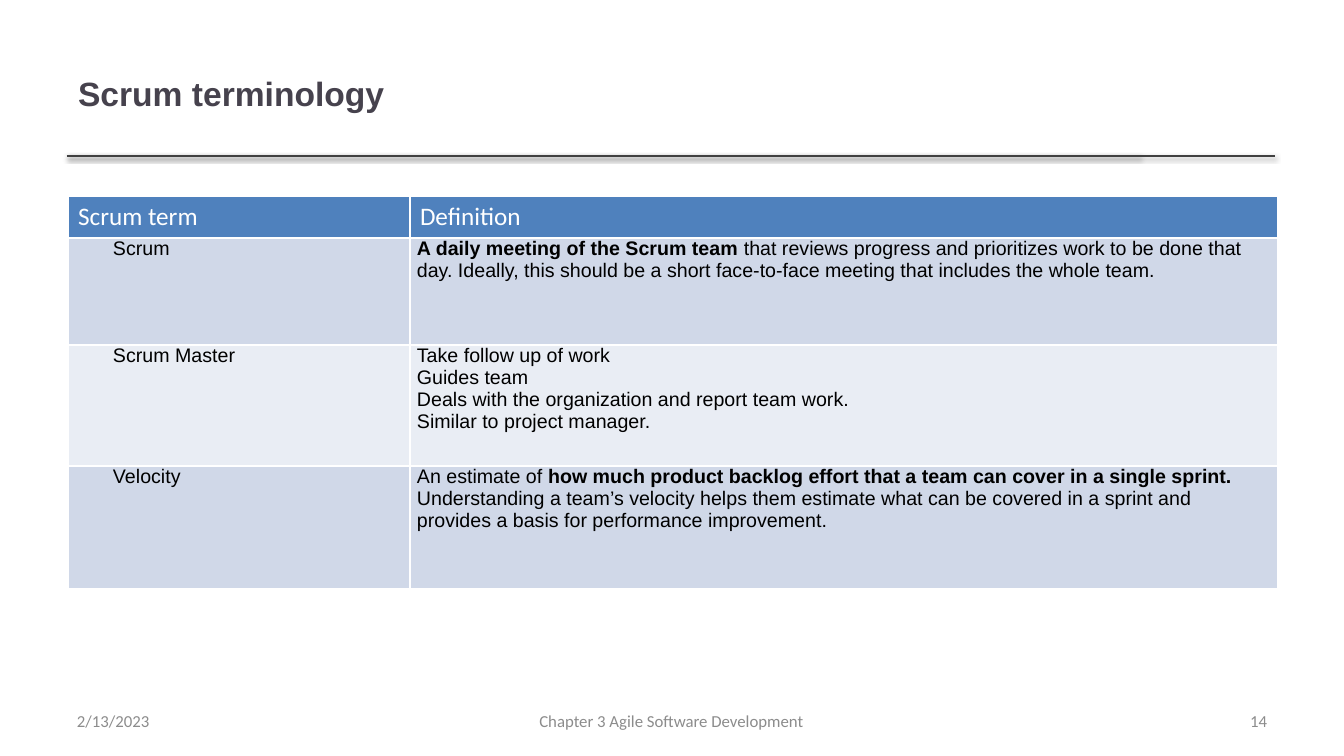
from dataclasses import dataclass

from lxml import etree
from pptx import Presentation
from pptx import util as u
from pptx.dml.color import RGBColor
from pptx.enum import shapes, text
from pptx.oxml import parse_xml
from pptx.oxml.ns import nsdecls, qn

SCALE = 914400 / 100.8


@dataclass(frozen=True)
class Theme:
    title: str = "46424D"
    rule: str = "404040"
    header: str = "4F81BD"
    odd_row: str = "D0D8E8"
    even_row: str = "E9EDF4"
    white: str = "FFFFFF"
    black: str = "000000"
    footer: str = "8C8C8C"
    heading_font: str = "Arial"
    body_font: str = "Calibri"
    title_size: int = 24
    header_size: int = 18
    body_size: int = 14
    footer_size: int = 12


THEME = Theme()

COLUMN_WIDTHS = [342, 868]
ROW_HEIGHTS = [42, 107, 121, 123]
HEADERS = ["Scrum term", "Definition"]
TERMS = [
    ("Scrum", [[
        ("A daily meeting of the Scrum team ", True),
        ("that reviews progress and prioritizes work to be done that day. "
         "Ideally, this should be a short face-to-face meeting that includes "
         "the whole team.", False),
    ]]),
    ("Scrum Master", [
        [("Take follow up of work", False)],
        [("Guides team", False)],
        [("Deals with the organization and report team work.", False)],
        [("Similar to project manager.", False)],
    ]),
    ("Velocity", [
        [("An estimate of ", False),
         ("how much product backlog effort that a team can cover in a single "
          "sprint.", True)],
        [("Understanding a team’s velocity helps them estimate what can be "
          "covered in a sprint and provides a basis for performance "
          "improvement.", False)],
    ]),
]


def px(length):
    return u.Emu(round(length * SCALE))


def style_font(font, name, size, color, bold=False):
    font.name = name
    font.size = u.Pt(size)
    font.bold = bold
    font.color.rgb = RGBColor.from_string(color)


def add_title(slide, wording):
    title = slide.shapes.title
    title.left, title.top, title.width, title.height = map(px, (68, 30, 1072, 126))
    frame = title.text_frame
    frame.text = wording
    frame.vertical_anchor = text.MSO_ANCHOR.MIDDLE
    paragraph = frame.paragraphs[0]
    paragraph.alignment = text.PP_ALIGN.LEFT
    style_font(paragraph.font, THEME.heading_font, THEME.title_size, THEME.title, True)


def add_rule(slide, right):
    rule = slide.shapes.add_connector(
        shapes.MSO_CONNECTOR.STRAIGHT, px(67), px(156), px(right), px(156))
    rule.line.color.rgb = RGBColor.from_string(THEME.rule)
    rule.line.width = u.Pt(2)
    rule._element.spPr.append(parse_xml(
        f'<a:effectLst {nsdecls("a")}>'
        '<a:outerShdw blurRad="39370" dist="20320" dir="5400000" rotWithShape="0">'
        f'<a:srgbClr val="{THEME.black}"><a:alpha val="38000"/></a:srgbClr>'
        '</a:outerShdw></a:effectLst>'))


def add_borders(cell):
    properties = cell._tc.get_or_add_tcPr()
    for index, side in enumerate("LRTB"):
        line = etree.Element(qn(f"a:ln{side}"), w=str(u.Pt(1)))
        fill = etree.SubElement(line, qn("a:solidFill"))
        etree.SubElement(fill, qn("a:srgbClr"), val=THEME.white)
        properties.insert(index, line)


def fill_cell(cell, paragraphs, background, name, size, color):
    cell.fill.solid()
    cell.fill.fore_color.rgb = RGBColor.from_string(background)
    add_borders(cell)
    frame = cell.text_frame
    for index, runs in enumerate(paragraphs):
        paragraph = frame.add_paragraph() if index else frame.paragraphs[0]
        for wording, bold in runs:
            run = paragraph.add_run()
            run.text = wording
            style_font(run.font, name, size, color, bold)


def fill_body_cell(cell, paragraphs, background):
    cell.margin_left = cell.margin_right = px(7)
    cell.margin_top = cell.margin_bottom = 0
    fill_cell(cell, paragraphs, background,
              THEME.heading_font, THEME.body_size, THEME.black)


def add_terms_table(slide):
    table = slide.shapes.add_table(
        len(ROW_HEIGHTS), len(COLUMN_WIDTHS), px(68), px(196),
        px(sum(COLUMN_WIDTHS)), px(sum(ROW_HEIGHTS))).table
    table.first_row = table.horz_banding = False
    for column, width in zip(table.columns, COLUMN_WIDTHS):
        column.width = px(width)
    for row, height in zip(table.rows, ROW_HEIGHTS):
        row.height = px(height)
    for column, wording in enumerate(HEADERS):
        fill_cell(table.cell(0, column), [[(wording, False)]], THEME.header,
                  THEME.body_font, THEME.header_size, THEME.white)
    for row, (term, definition) in enumerate(TERMS, start=1):
        background = THEME.odd_row if row % 2 else THEME.even_row
        term_cell = table.cell(row, 0)
        fill_body_cell(term_cell, [[(term, False)]], background)
        indent = term_cell.text_frame.paragraphs[0]._p.get_or_add_pPr()
        indent.set("marL", "0")
        indent.set("indent", str(px(38)))
        fill_body_cell(table.cell(row, 1), definition, background)


def add_footer(slide, wording, left, width, alignment):
    frame = slide.shapes.add_textbox(px(left), px(701), px(width), px(40)).text_frame
    frame.word_wrap = True
    frame.vertical_anchor = text.MSO_ANCHOR.MIDDLE
    frame.text = wording
    paragraph = frame.paragraphs[0]
    paragraph.alignment = alignment
    style_font(paragraph.font, THEME.body_font, THEME.footer_size, THEME.footer)


def main():
    presentation = Presentation()
    presentation.slide_width, presentation.slide_height = px(1344), px(756)
    slide = presentation.slides.add_slide(presentation.slide_layouts[5])
    for right in (1141, 1275):
        add_rule(slide, right)
    add_title(slide, "Scrum terminology")
    add_terms_table(slide)
    add_footer(slide, "Chapter 3 Agile Software Development", 459, 425,
               text.PP_ALIGN.CENTER)
    add_footer(slide, "14", 963, 314, text.PP_ALIGN.RIGHT)
    add_footer(slide, "2/13/2023", 67, 314, text.PP_ALIGN.LEFT)
    presentation.save("out.pptx")


if __name__ == "__main__":
    main()
